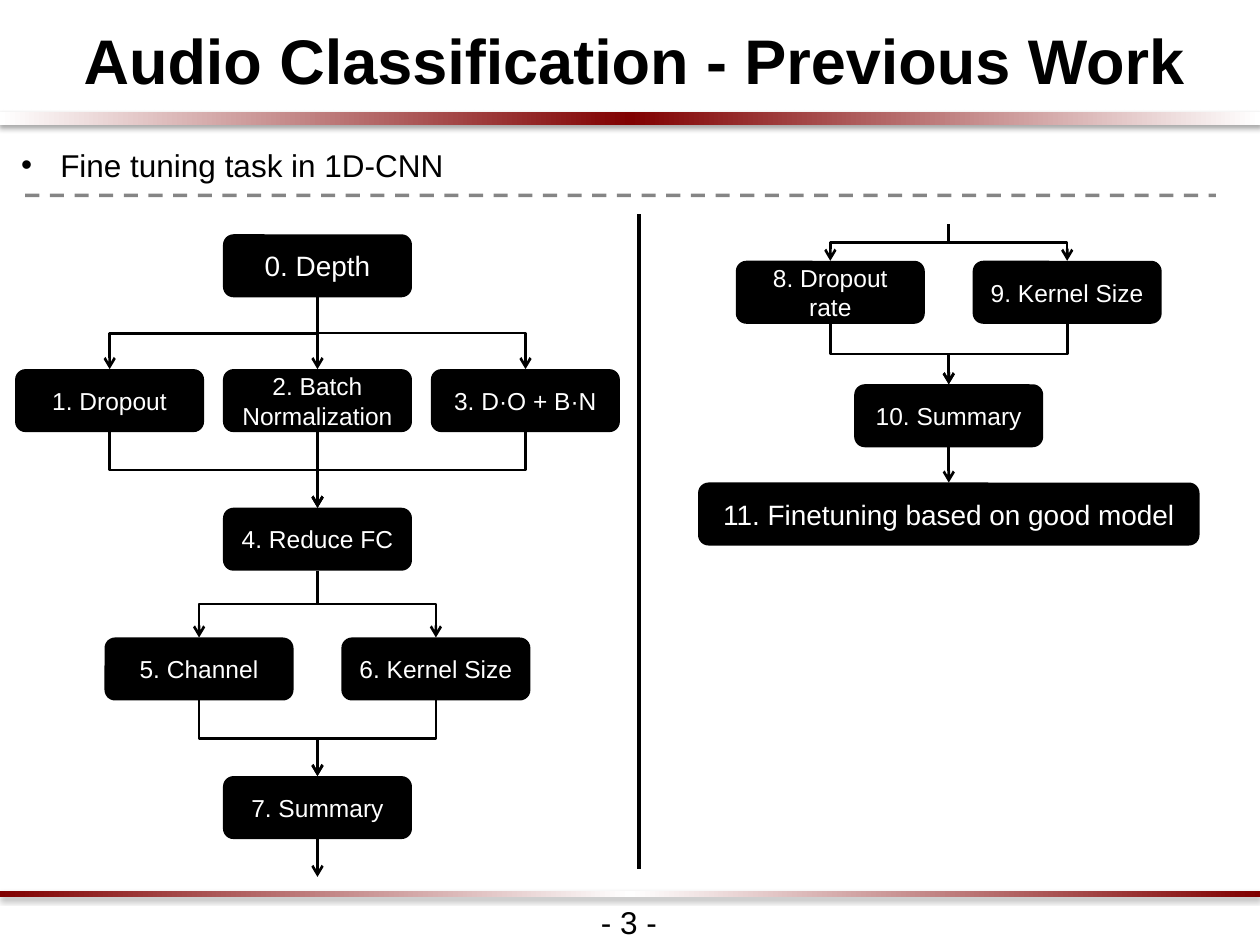
from copy import deepcopy
from dataclasses import dataclass

from lxml import etree
from pptx import Presentation
from pptx.dml.color import RGBColor
from pptx.enum.dml import MSO_LINE
from pptx.enum.shapes import MSO_CONNECTOR, MSO_SHAPE
from pptx.enum.text import MSO_ANCHOR, PP_ALIGN
from pptx.oxml.ns import qn
from pptx.util import Inches, Pt

STRAIGHT, ELBOW = MSO_CONNECTOR.STRAIGHT, MSO_CONNECTOR.ELBOW
RECTANGLE, ROUNDED = MSO_SHAPE.RECTANGLE, MSO_SHAPE.ROUNDED_RECTANGLE
DASH = MSO_LINE.DASH
MIDDLE, CENTER = MSO_ANCHOR.MIDDLE, PP_ALIGN.CENTER
TOP_SIDE, BOTTOM_SIDE = 0, 2

COLORS = {"black": "000000", "white": "FFFFFF", "maroon": "800000"}
FONT = "Arial"
BOX_WIDTH, BOX_HEIGHT = 1.5, 0.5
LEFT_CENTER, RIGHT_CENTER = 2.52, 7.53
PAIR_OFFSET, TRIPLE_OFFSET = 0.94, 1.65


@dataclass
class Step:
    text: str
    center: float
    top: float
    size: int = 14
    width: float = BOX_WIDTH

    @property
    def bottom(self) -> float:
        return self.top + BOX_HEIGHT


STEPS = [
    Step("0. Depth", LEFT_CENTER, 1.86, 16),
    Step("1. Dropout", LEFT_CENTER - TRIPLE_OFFSET, 2.93),
    Step("2. Batch Normalization", LEFT_CENTER, 2.93),
    Step("3. D·O + B·N", LEFT_CENTER + TRIPLE_OFFSET, 2.93),
    Step("4. Reduce FC", LEFT_CENTER, 4.03),
    Step("5. Channel", LEFT_CENTER - PAIR_OFFSET, 5.06),
    Step("6. Kernel Size", LEFT_CENTER + PAIR_OFFSET, 5.06),
    Step("7. Summary", LEFT_CENTER, 6.16),
    Step("8. Dropout rate", RIGHT_CENTER - PAIR_OFFSET, 2.07),
    Step("9. Kernel Size", RIGHT_CENTER + PAIR_OFFSET, 2.07),
    Step("10. Summary", RIGHT_CENTER, 3.05),
    Step("11. Finetuning based on good model", RIGHT_CENTER, 3.83, 16, 3.98),
]
STRAIGHT_LINKS = [(0, 2), (2, 4), (10, 11)]
ELBOW_LINKS = [(0, 1), (0, 3), (1, 4), (3, 4), (4, 5), (4, 6), (5, 7), (6, 7), (8, 10), (9, 10)]


def rgb(name: str) -> RGBColor:
    return RGBColor.from_string(COLORS[name])


def format_runs(text_frame, size: float, color: str = "black", bold: bool = False) -> None:
    for paragraph in text_frame.paragraphs:
        for run in paragraph.runs:
            run.font.name, run.font.size, run.font.bold = FONT, Pt(size), bold
            run.font.color.rgb = rgb(color)


def add_text(slide, text: str, left: float, top: float, width: float, height: float,
             size: float, bold: bool = False, wrap: bool = True):
    text_frame = slide.shapes.add_textbox(
        Inches(left), Inches(top), Inches(width), Inches(height)).text_frame
    text_frame.word_wrap = wrap
    text_frame.text = text
    format_runs(text_frame, size, bold=bold)
    return text_frame


def set_indent(paragraph, margin: float, first_line: float = 0):
    properties = paragraph._p.get_or_add_pPr()
    properties.set("marL", str(Inches(margin)))
    properties.set("indent", str(Inches(first_line)))
    return properties


def add_gradient_bar(slide, top: float, height: float, edge: str, middle: str) -> None:
    """Draw a full-width shadowed bar whose colour runs edge, middle, edge."""
    bar = slide.shapes.add_shape(RECTANGLE, 0, Inches(top), Inches(10), Inches(height))
    bar.line.fill.background()
    bar.fill.gradient()
    bar.fill.gradient_angle = 0
    for stop, color, position in zip(bar.fill.gradient_stops, (edge, middle), (0, 0.5)):
        stop.color.rgb = rgb(color)
        stop.position = position
    stops = bar.element.spPr.find(qn("a:gradFill")).find(qn("a:gsLst"))
    last_stop = deepcopy(stops[0])
    last_stop.set("pos", "100000")
    stops.append(last_stop)

    bar.shadow.inherit = False
    effects = bar.element.spPr.find(qn("a:effectLst"))
    shadow = etree.SubElement(effects, qn("a:outerShdw"), blurRad=str(Pt(3.1)),
                              dist=str(Pt(1.8)), dir="5400000", rotWithShape="0")
    color = etree.SubElement(shadow, qn("a:srgbClr"), val=COLORS["black"])
    etree.SubElement(color, qn("a:alpha"), val="35000")


def add_box(slide, step: Step):
    box = slide.shapes.add_shape(
        ROUNDED, Inches(step.center - step.width / 2), Inches(step.top),
        Inches(step.width), Inches(BOX_HEIGHT))
    box.shadow.inherit = False
    box.fill.solid()
    box.fill.fore_color.rgb = rgb("black")
    box.line.fill.background()
    text_frame = box.text_frame
    text_frame.word_wrap = True
    text_frame.vertical_anchor = MIDDLE
    text_frame.text = step.text
    text_frame.paragraphs[0].alignment = CENTER
    format_runs(text_frame, step.size, "white")
    return box


def add_line(slide, x1: float, y1: float, x2: float, y2: float,
             width: float = 1.5, arrow: bool = True, kind=STRAIGHT):
    line = slide.shapes.add_connector(kind, Inches(x1), Inches(y1), Inches(x2), Inches(y2))
    line.line.color.rgb = rgb("black")
    line.line.width = Pt(width)
    etree.SubElement(line.element.spPr, qn("a:effectLst"))
    if arrow:
        etree.SubElement(line.line._get_or_add_ln(), qn("a:tailEnd"), type="arrow")
    return line


def add_elbow(slide, x1: float, y1: float, x2: float, y2: float) -> None:
    """Draw a down-across-down arrow as an elbow turned a quarter about its centre."""
    center_x, center_y = (x1 + x2) / 2, (y1 + y2) / 2
    half_width, half_height = (y2 - y1) / 2, abs(x2 - x1) / 2
    direction = 1 if x2 < x1 else -1
    elbow = add_line(slide, center_x - direction * half_width, center_y - half_height,
                     center_x + direction * half_width, center_y + half_height, kind=ELBOW)
    quarter_turn = 90 if direction == 1 else 270
    elbow.element.spPr.find(qn("a:xfrm")).set("rot", str(quarter_turn * 60000))


def add_header(slide) -> None:
    title = add_text(slide, "Audio Classification - Previous Work",
                     -0.23, 0.03, 10.45, 0.79, 36, bold=True)
    title.vertical_anchor = MIDDLE
    title.margin_top = title.margin_bottom = Inches(0.1)
    title.paragraphs[0].alignment = CENTER
    title.paragraphs[0].line_spacing = 1.15
    set_indent(title.paragraphs[0], 0.08)

    topic = add_text(slide, "Fine tuning task in 1D-CNN", 0.07, 1.11, 9.42, 0.43, 18)
    properties = set_indent(topic.paragraphs[0], 0.31, -0.31)
    etree.SubElement(properties, qn("a:buFont"), typeface=FONT)
    etree.SubElement(properties, qn("a:buChar"), char="•")

    rule = add_line(slide, 0.2, 1.55, 9.65, 1.55, 2, arrow=False)
    rule.line.dash_style = DASH
    color = rule.line._get_or_add_ln().find(qn("a:solidFill"))[0]
    etree.SubElement(color, qn("a:alpha"), val="47000")


def add_flow(slide) -> None:
    boxes = [add_box(slide, step) for step in STEPS]
    for start, end in STRAIGHT_LINKS:
        source, target = STEPS[start], STEPS[end]
        arrow = add_line(slide, source.center, source.bottom, target.center, target.top)
        arrow.begin_connect(boxes[start], BOTTOM_SIDE)
        arrow.end_connect(boxes[end], TOP_SIDE)
    for start, end in ELBOW_LINKS:
        source, target = STEPS[start], STEPS[end]
        add_elbow(slide, source.center, source.bottom, target.center, target.top)
    for step in STEPS[8:10]:
        add_elbow(slide, RIGHT_CENTER, 1.78, step.center, step.top)
    exit_arrow = add_line(slide, LEFT_CENTER, STEPS[7].bottom, LEFT_CENTER, 6.96)
    exit_arrow.begin_connect(boxes[7], BOTTOM_SIDE)


def main() -> None:
    presentation = Presentation()
    presentation.slide_width, presentation.slide_height = Inches(10), Inches(7.5)
    slide = presentation.slides.add_slide(presentation.slide_layouts[6])
    add_gradient_bar(slide, 0.89, 0.1, "white", "maroon")
    add_gradient_bar(slide, 7.07, 0.05, "maroon", "white")
    add_header(slide)
    add_flow(slide)
    add_line(slide, 5.07, 1.7, 5.07, 6.9, 2, arrow=False)
    add_text(slide, "- 3 -", 4.67, 7.12, 0.65, 0.4, 18, wrap=False)
    presentation.save("out.pptx")


if __name__ == "__main__":
    main()
